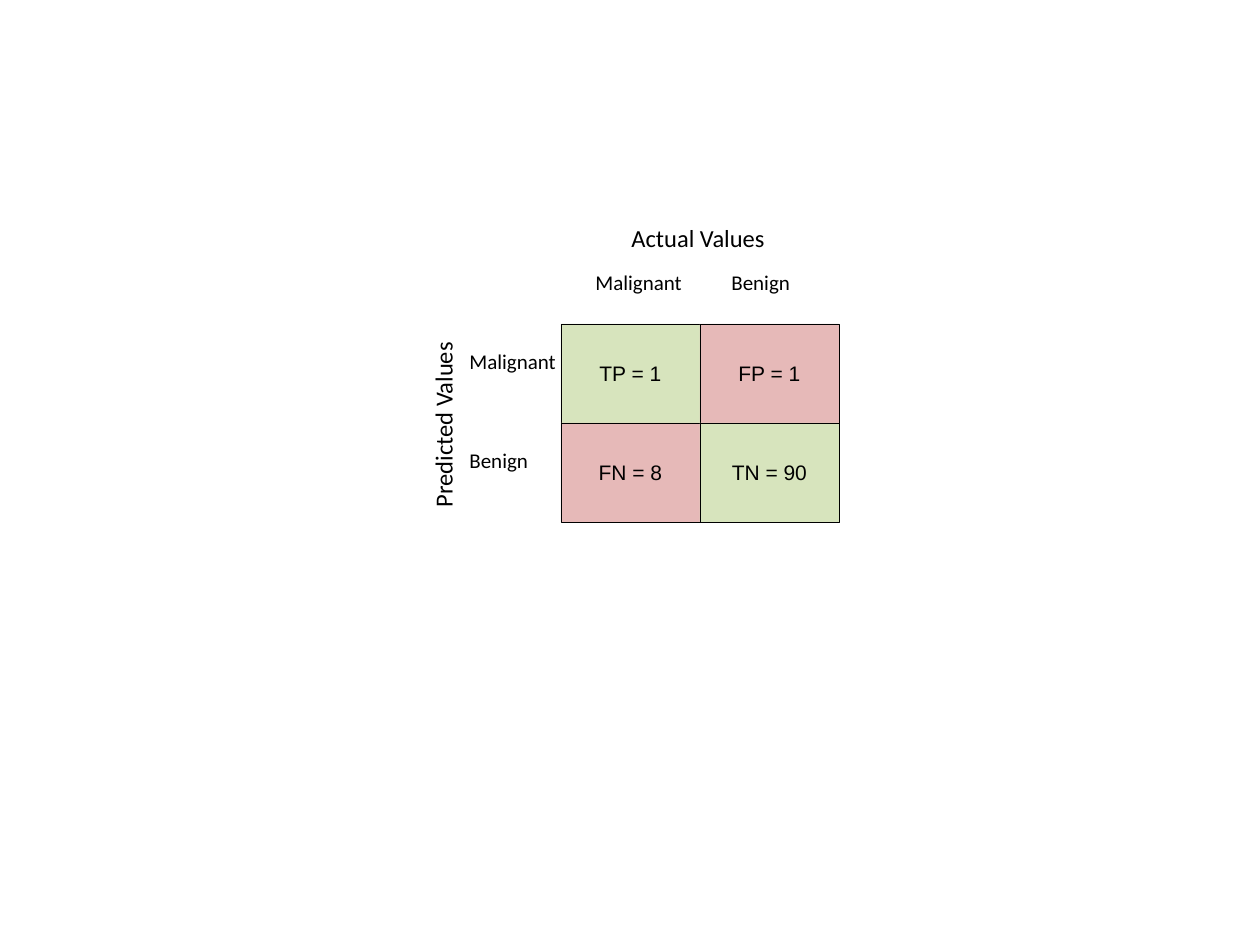
from pptx import Presentation
from pptx.dml.color import RGBColor
from pptx.enum.shapes import MSO_SHAPE
from pptx.enum.text import MSO_ANCHOR, MSO_AUTO_SIZE, PP_ALIGN
from pptx.util import Inches, Pt

BLACK = RGBColor(0x00, 0x00, 0x00)
CORRECT = RGBColor(0xD7, 0xE4, 0xBD)
WRONG = RGBColor(0xE6, 0xB9, 0xB8)

PX_PER_INCH = 126
MATRIX_LEFT, MATRIX_TOP = 561, 324
CELL_WIDTH, CELL_HEIGHT = 139, 99
LABEL_HEIGHT, TITLE_HEIGHT = 38, 43

MATRIX = [["TP = 1", "FP = 1"], ["FN = 8", "TN = 90"]]
# Class name, label width, left of its column label
CLASSES = [("Malignant", 112, 583), ("Benign", 84, 719)]


def px(length):
    return Inches(length / PX_PER_INCH)


def add_text(frame, text, font_name, size):
    run = frame.paragraphs[0].add_run()
    run.text = text
    run.font.name = font_name
    run.font.size = Pt(size)
    run.font.color.rgb = BLACK


def add_cell(slide, row, column, text):
    cell = slide.shapes.add_shape(
        MSO_SHAPE.RECTANGLE,
        px(MATRIX_LEFT + column * CELL_WIDTH),
        px(MATRIX_TOP + row * CELL_HEIGHT),
        px(CELL_WIDTH), px(CELL_HEIGHT))
    cell.shadow.inherit = False
    cell.fill.solid()
    cell.fill.fore_color.rgb = CORRECT if row == column else WRONG
    cell.line.color.rgb = BLACK
    cell.line.width = Pt(0.25)
    frame = cell.text_frame
    frame.vertical_anchor = MSO_ANCHOR.MIDDLE
    frame.paragraphs[0].alignment = PP_ALIGN.CENTER
    add_text(frame, text, "Arial", 12)


def add_label(slide, text, left, top, width, height=LABEL_HEIGHT, size=12, rotation=0):
    label = slide.shapes.add_textbox(px(left), px(top), px(width), px(height))
    label.rotation = rotation
    frame = label.text_frame
    frame.word_wrap = False
    frame.auto_size = MSO_AUTO_SIZE.SHAPE_TO_FIT_TEXT
    add_text(frame, text, "Calibri", size)


def main():
    presentation = Presentation()
    presentation.slide_width = Inches(10)
    presentation.slide_height = Inches(7.5)
    slide = presentation.slides.add_slide(presentation.slide_layouts[6])

    for row, counts in enumerate(MATRIX):
        for column, count in enumerate(counts):
            add_cell(slide, row, column, count)

    add_label(slide, "Predicted Values", 347, 402, 193, TITLE_HEIGHT, 14, rotation=270)
    add_label(slide, "Actual Values", 619, 217, 160, TITLE_HEIGHT, 14)
    for row, (name, width, column_left) in enumerate(CLASSES):
        add_label(slide, name, 457, 342 + row * CELL_HEIGHT, width)
        add_label(slide, name, column_left, 263, width)

    presentation.save("out.pptx")


if __name__ == "__main__":
    main()
